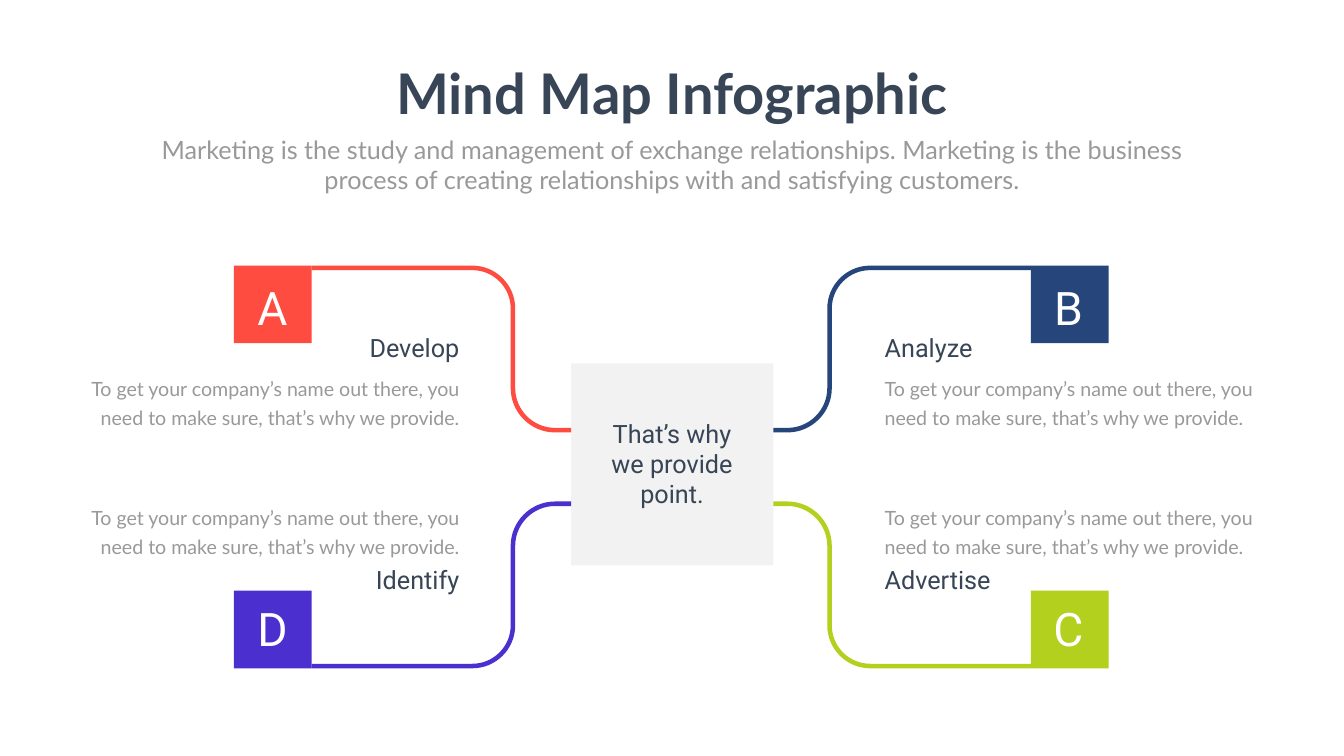
from dataclasses import dataclass

from lxml.etree import SubElement
from pptx import Presentation
from pptx.dml.color import RGBColor
from pptx.enum.shapes import MSO_SHAPE
from pptx.enum.text import MSO_ANCHOR, MSO_AUTO_SIZE, PP_ALIGN
from pptx.oxml.ns import qn
from pptx.slide import Slide
from pptx.util import Inches, Pt

DARK, GREY, WHITE = "374556", "999999", "FFFFFF"
BADGE = 1.54
HUB_LEFT, HUB_TOP, HUB_SIZE = 11.33, 7.21, 4.01
BODY_WIDTH, HEADING_WIDTH = 7.94, 4.41
BODY = "To get your company’s name out there, you need to make sure, that’s why we provide."

Point = tuple[float, float]


@dataclass
class Side:
    badge_left: float
    badge_edge: float  # where the band leaves the badge
    hub_edge: float  # where the band meets the hub
    letter_left: float
    text_edge: float  # edge the text is aligned to
    direction: int  # towards the hub
    align: PP_ALIGN


@dataclass
class Row:
    badge_top: float
    band_edge: float  # outer edge of the band
    direction: int  # towards the hub
    letter_top: float
    heading_top: float
    body_top: float


@dataclass
class Branch:
    letter: str
    heading: str
    color: str
    side: Side
    row: Row


LEFT = Side(4.64, 6.18, HUB_LEFT, 4.96, 9.21, 1, PP_ALIGN.RIGHT)
RIGHT = Side(20.45, 20.45, HUB_LEFT + HUB_SIZE, 20.75, 17.45, -1, PP_ALIGN.LEFT)
TOP = Row(5.27, 5.27, 1, 5.5, 6.55, 7.33)
BOTTOM = Row(11.72, 13.26, -1, 11.86, 11.15, 9.89)

BRANCHES = [
    Branch("A", "Develop", "FE4C40", LEFT, TOP),
    Branch("B", "Analyze", "26457B", RIGHT, TOP),
    Branch("C", "Advertise", "B2D01D", RIGHT, BOTTOM),
    Branch("D", "Identify", "4B30CF", LEFT, BOTTOM),
]


def rgb(color: str) -> RGBColor:
    return RGBColor.from_string(color)


def paint(shape, color: str) -> None:
    shape.shadow.inherit = False
    shape.fill.solid()
    shape.fill.fore_color.rgb = rgb(color)
    shape.line.fill.background()


def place(shape, left: float, top: float, width: float, height: float) -> None:
    shape.left, shape.top = Inches(left), Inches(top)
    shape.width, shape.height = Inches(width), Inches(height)


def write(shape, text: str, size: float, color: str, font: str, align: PP_ALIGN,
          spacing: float | None = None, bold: bool = False, wrap: bool = True) -> None:
    frame = shape.text_frame
    frame.auto_size = MSO_AUTO_SIZE.NONE
    frame.word_wrap = wrap
    frame.vertical_anchor = MSO_ANCHOR.TOP
    frame.margin_left = frame.margin_right = Inches(0.1)
    frame.margin_top = frame.margin_bottom = Inches(0.05)
    frame.text = text
    paragraph = frame.paragraphs[0]
    paragraph.alignment = align
    paragraph.space_before = Pt(0)
    if spacing:
        paragraph.line_spacing = Pt(spacing)
    paragraph.font.name, paragraph.font.size = font, Pt(size)
    paragraph.font.bold = bold
    paragraph.font.color.rgb = rgb(color)


def add_text(slide: Slide, left: float, top: float, width: float, height: float,
             text: str, size: float, color: str, font: str, align: PP_ALIGN,
             spacing: float | None = None) -> None:
    box = slide.shapes.add_textbox(Inches(left), Inches(top), Inches(width), Inches(height))
    write(box, text, size, color, font, align, spacing)


def add_square(slide: Slide, left: float, top: float, size: float, color: str):
    square = slide.shapes.add_shape(MSO_SHAPE.RECTANGLE, Inches(left), Inches(top),
                                    Inches(size), Inches(size))
    paint(square, color)
    return square


def bend(start: Point, corner: Point, end: Point) -> list[Point]:
    """Two control points and the end of a quarter circle."""
    controls = [tuple(p + 0.55 * (c - p) for p, c in zip(point, corner))
                for point in (start, end)]
    return [*controls, end]


def add_band(slide: Slide, branch: Branch) -> None:
    side, row = branch.side, branch.row
    length = abs(side.hub_edge - side.badge_edge)
    # Outline measured from the badge corner towards the hub:
    # one point is a line, three are a curve
    segments = [
        [(3.19, 0)],
        bend((3.19, 0), (4.04, 0), (4.04, 0.85)),
        [(4.04, 2.43)],
        bend((4.04, 2.43), (4.04, 3.22), (4.83, 3.22)),
        [(length, 3.22)],
        [(length, 3.31)],
        [(4.83, 3.31)],
        bend((4.83, 3.31), (3.95, 3.31), (3.95, 2.43)),
        [(3.95, 0.85)],
        bend((3.95, 0.85), (3.95, 0.09), (3.19, 0.09)),
        [(0, 0.09)],
    ]
    points = [(Inches(side.badge_edge + side.direction * x),
               Inches(row.band_edge + row.direction * y))
              for x, y in [(0, 0), *(p for segment in segments for p in segment)]]
    builder = slide.shapes.build_freeform(*points[0])
    builder.add_line_segments(points[1:], close=True)
    band = builder.convert_to_shape()
    paint(band, branch.color)

    # Join the three points of each bend into one curve
    lines = iter(list(band._element.iter(qn("a:lnTo"))))
    for segment in segments:
        parts = [next(lines) for _ in segment]
        if len(parts) == 3:
            curve = parts[0].makeelement(qn("a:cubicBezTo"))
            parts[0].addprevious(curve)
            for part in parts:
                curve.append(part[0])
                part.getparent().remove(part)


def add_branch(slide: Slide, branch: Branch) -> None:
    side, row = branch.side, branch.row
    add_band(slide, branch)
    add_square(slide, side.badge_left, row.badge_top, BADGE, branch.color)
    add_text(slide, side.letter_left, row.letter_top, 0.89, 1.21,
             branch.letter, 66, WHITE, "Roboto", PP_ALIGN.CENTER)

    def text_left(width: float) -> float:
        return side.text_edge - width if side is LEFT else side.text_edge

    add_text(slide, text_left(HEADING_WIDTH), row.heading_top, HEADING_WIDTH, 0.71,
             branch.heading, 36, DARK, "Roboto", side.align)
    add_text(slide, text_left(BODY_WIDTH), row.body_top, BODY_WIDTH, 1.19,
             BODY, 28, GREY, "Lato", side.align, spacing=40.8)


def add_hub(slide: Slide) -> None:
    hub = add_square(slide, HUB_LEFT, HUB_TOP, HUB_SIZE, "808080")
    fill_color = hub.fill._xPr.find(qn("a:solidFill"))[0]
    SubElement(fill_color, qn("a:alpha"), val="10000")
    add_text(slide, 11.74, 8.25, 3.18, 1.91, "That’s why we provide point.",
             36, DARK, "Roboto", PP_ALIGN.CENTER, spacing=43)


def main() -> None:
    deck = Presentation()
    deck.slide_width, deck.slide_height = Inches(26.66), Inches(15)
    slide = deck.slides.add_slide(deck.slide_layouts[0])
    slide.background.fill.solid()
    slide.background.fill.fore_color.rgb = rgb("FEFFFE")

    # Title and introduction
    title, introduction = slide.placeholders
    place(title, 7.69, 1.12, 11.28, 1.45)
    write(title, "Mind Map Infographic", 80, DARK, "Lato", PP_ALIGN.CENTER,
          bold=True, wrap=False)
    place(introduction, 2.92, 2.61, 20.82, 1.31)
    write(introduction, "Marketing is the study and management of exchange relationships. "
          "Marketing is the business process of creating relationships with and "
          "satisfying customers.", 36, GREY, "Lato", PP_ALIGN.CENTER)

    # Mind map
    for branch in BRANCHES:
        add_branch(slide, branch)
    add_hub(slide)
    deck.save("out.pptx")


if __name__ == "__main__":
    main()
